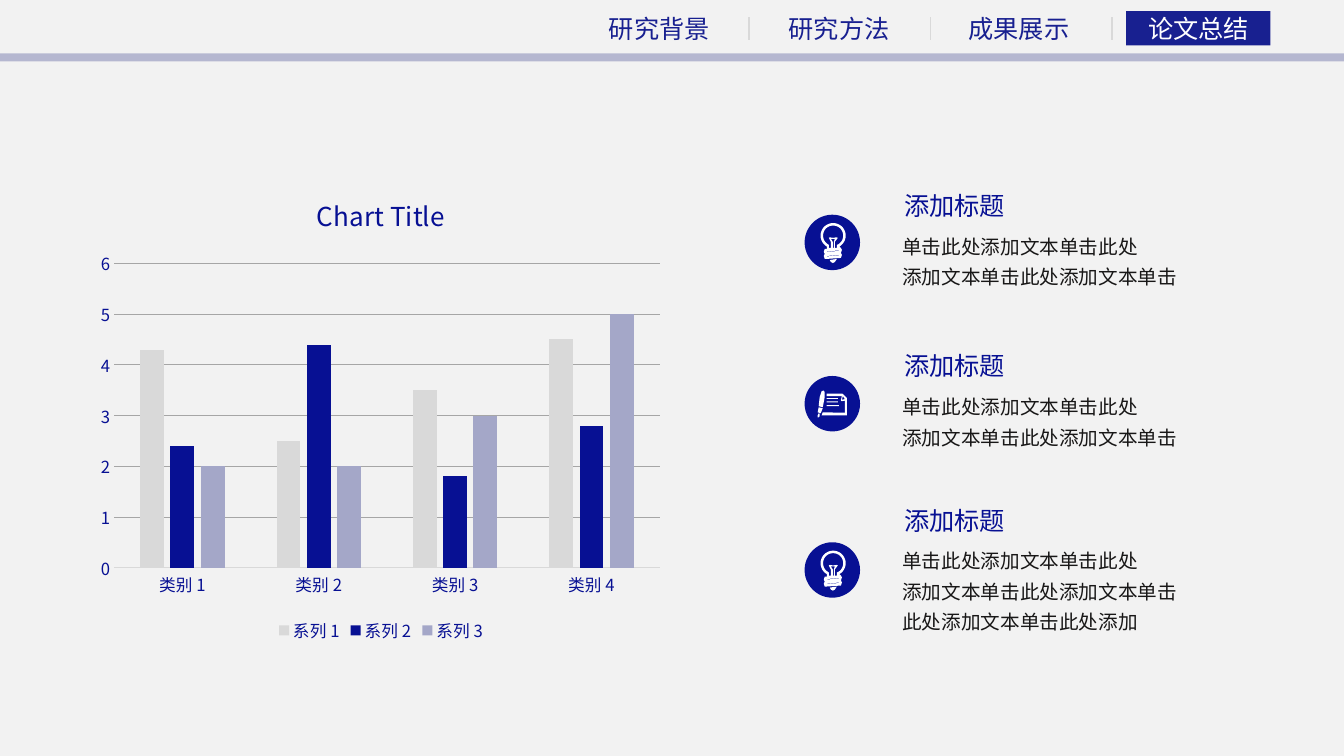
from math import cos, radians, sin

from pptx import Presentation
from pptx.chart.data import CategoryChartData
from pptx.dml.color import RGBColor
from pptx.enum.chart import XL_CHART_TYPE, XL_LEGEND_POSITION, XL_TICK_MARK
from pptx.enum.shapes import MSO_CONNECTOR, MSO_SHAPE
from pptx.enum.text import PP_ALIGN
from pptx.oxml import parse_xml
from pptx.oxml.ns import nsdecls, qn
from pptx.oxml.xmlchemy import OxmlElement
from pptx.util import Inches, Pt

FONT = "Noto Sans CJK SC"
NAVY, NAV_BLUE, WHITE, PALE = "071093", "182090", "FFFFFF", "D9D9D9"


def color(value):
    """Return the colour of a hex string."""
    return RGBColor.from_string(value)


def set_font(font, size, shade):
    """Give a font its face, size and colour."""
    font.name = FONT
    font.size = Pt(size)
    font.color.rgb = color(shade)


def set_east_asian(root):
    """Use the Latin face for Chinese characters too."""
    for latin in list(root.iter(qn("a:latin"))):
        face = OxmlElement("a:ea")
        face.set("typeface", FONT)
        latin.addnext(face)


def fill_plain(shape, shade):
    """Fill a shape without outline or shadow."""
    shape.shadow.inherit = False
    shape.fill.solid()
    shape.fill.fore_color.rgb = color(shade)
    shape.line.fill.background()


def add_block(page, kind, box, shade):
    """Add a plain preset shape in a box given in inches."""
    shape = page.shapes.add_shape(kind, *map(Inches, box))
    fill_plain(shape, shade)
    return shape


def add_text(page, box, lines, size, shade, align=PP_ALIGN.LEFT, spacing=None):
    """Add a wrapped text box with one paragraph per line."""
    frame = page.shapes.add_textbox(*map(Inches, box)).text_frame
    frame.word_wrap = True
    for index, line in enumerate(lines):
        para = frame.add_paragraph() if index else frame.paragraphs[0]
        para.alignment = align
        para.line_spacing = spacing
        span = para.add_run()
        span.text = line
        set_font(span.font, size, shade)


def add_navigation(page, left, top, labels):
    """Draw the header band, tabs and separators; the last tab is active."""
    band = add_block(page, MSO_SHAPE.RECTANGLE, (-0.32, top + 0.45, 13.79, 0.08), "141B76")
    alpha = OxmlElement("a:alpha")
    alpha.set("val", "27000")
    band.fill._xPr.find(qn("a:solidFill"))[0].append(alpha)
    add_block(page, MSO_SHAPE.RECTANGLE, (left + 5.25, top + 0.03, 1.43, 0.34), NAV_BLUE)
    for index, label in enumerate(labels):
        active = index == len(labels) - 1
        add_text(page, (left + 1.783 * index, top, 1.24, 0.4), [label], 18,
                 WHITE if active else NAV_BLUE, PP_ALIGN.CENTER)
        if not active:
            x = Inches(left + 1.51 + 1.8 * index)
            line = page.shapes.add_connector(
                MSO_CONNECTOR.STRAIGHT, x, Inches(top + 0.09), x, Inches(top + 0.32))
            line.line.color.rgb = color(PALE)
            line.line.width = Pt(1)
            line._element.spPr.append(OxmlElement("a:effectLst"))


def add_column_chart(page, box):
    """Draw the clustered column chart."""
    data = CategoryChartData()
    data.categories = [f"类别 {number}" for number in range(1, 5)]
    columns = [((4.3, 2.5, 3.5, 4.5), PALE), ((2.4, 4.4, 1.8, 2.8), NAVY),
               ((2, 2, 3, 5), "A4A7C8")]
    for number, (values, _) in enumerate(columns, 1):
        data.add_series(f"系列 {number}", values)
    chart = page.shapes.add_chart(
        XL_CHART_TYPE.COLUMN_CLUSTERED, *map(Inches, box), data).chart
    set_font(chart.font, 11.9, NAVY)
    chart.has_title = True
    span = chart.chart_title.text_frame.paragraphs[0].add_run()
    span.text = "Chart Title"
    set_font(span.font, 18.6, NAVY)
    span.font.bold = False
    chart.has_legend = True
    chart.legend.position = XL_LEGEND_POSITION.BOTTOM
    chart.legend.include_in_layout = False
    set_font(chart.legend.font, 11.9, NAVY)
    plot = chart.plots[0]
    plot.vary_by_categories = False
    plot.gap_width, plot.overlap = 219, -27
    for series, (_, shade) in zip(plot.series, columns):
        series.format.fill.solid()
        series.format.fill.fore_color.rgb = color(shade)
    for axis in (chart.category_axis, chart.value_axis):
        axis.major_tick_mark = axis.minor_tick_mark = XL_TICK_MARK.NONE
        set_font(axis.tick_labels.font, 11.9, NAVY)
    base, scale = chart.category_axis.format.line, chart.value_axis
    base.color.rgb, base.width = color(PALE), Pt(0.75)
    scale.format.line.fill.background()
    scale.minimum_scale, scale.maximum_scale, scale.major_unit = 0, 6, 1
    scale.has_major_gridlines = True
    grid = scale.major_gridlines.format.line
    grid.color.rgb, grid.width = color("A6A6A6"), Pt(0.75)
    place_plot(chart, {"x": 0.042, "y": 0.19, "w": 0.936, "h": 0.643})
    set_east_asian(chart.element)


def place_plot(chart, parts):
    """Fix the inner plot area as fractions of the chart."""
    area = next(chart.element.iter(qn("c:plotArea")))
    for old in area.findall(qn("c:layout")):
        area.remove(old)
    modes = "".join(f'<c:{key}Mode val="edge"/>' for key in "xy")
    sizes = "".join(f'<c:{key} val="{value}"/>' for key, value in parts.items())
    area.insert(0, parse_xml(
        f'<c:layout {nsdecls("c")}><c:manualLayout><c:layoutTarget val="inner"/>'
        f'{modes}{sizes}</c:manualLayout></c:layout>'))


def arc(radius):
    """Return the glass of the bulb, open at the bottom, in hundredths."""
    angles = [radians(60 - 10 * step) for step in range(31)]
    return [(28.3 + radius * cos(a), 20.8 + radius * sin(a)) for a in angles]


def bulb_outlines():
    """Return the contours of the light bulb in hundredths of an inch."""
    screw = [(22, 34), (20, 34), (19, 37), (20, 39), (19, 41), (20, 44), (21, 44),
             (35, 43), (36, 43), (37, 40), (36, 38), (37, 35), (36, 33), (35, 32)]
    wire = [(24, 30), (24, 33), (26, 33), (26, 27), (24, 23), (25, 22.5), (28.3, 23),
            (31.5, 22.5), (33, 23), (30, 27), (30, 33), (32, 33), (32, 30)]
    return [arc(12.5) + screw, arc(10) + wire,
            [(30, 24), (26, 24), (28, 27), (28, 33), (29, 33), (29, 27)],
            [(32, 44), (25, 45), (26, 47), (28, 48), (30, 47)],
            *[[(34, y), (22, y + 1), (22, y + 1.5), (34, y + 0.5)] for y in (35.5, 40)]]


def note_outlines():
    """Return the contours of the pen and sheet in hundredths of an inch."""
    sheet = [(18, 36), (17, 39), (42, 39), (42, 23), (42, 22), (38, 18), (37.5, 17.5),
             (22, 17.5), (22, 20), (37, 20), (36, 24), (36.5, 25), (40, 24.5), (40, 36.5)]
    return [[(17, 15), (19, 14.5), (20, 16), (20, 21), (18, 31), (14, 30), (15, 21)], sheet,
            [(40, 23), (37, 23.5), (38, 20)],
            *[[(22, y), (right, y), (right, y + 0.8), (22, y + 0.8)]
              for y, right in ((22, 33), (25.3, 33), (29, 34))],
            [(14, 37), (15, 37.5), (15, 40), (14, 41), (13, 41), (13, 39)],
            [(14, 31), (18, 32), (16, 37), (13, 36)]]


def add_icon(page, left, top, outlines):
    """Draw a white pictogram on a navy disc."""
    add_block(page, MSO_SHAPE.OVAL, (left, top, 0.55, 0.55), NAVY)
    builder = None
    for outline in outlines:
        points = [(x * 10, y * 10) for x, y in outline]
        if builder:
            builder.move_to(*points[0])
        else:
            builder = page.shapes.build_freeform(*points[0], scale=Inches(1) / 1000)
        builder.add_line_segments(points[1:], close=True)
    fill_plain(builder.convert_to_shape(Inches(left), Inches(top)), WHITE)


def add_entry(page, left, top, icon_top, outlines, lines):
    """Draw one icon with its heading and text."""
    add_icon(page, left, icon_top, outlines)
    add_text(page, (left + 0.87, top + 0.37, 3.02, 0.37 + 0.31 * len(lines)),
             lines, 14, "181717", spacing=1.3)
    add_text(page, (left + 0.89, top, 2.56, 0.4), ["添加标题"], 18, NAVY)


def main():
    """Build the slide and save it."""
    deck = Presentation()
    deck.slide_width, deck.slide_height = Inches(13.33), Inches(7.5)
    page = deck.slides.add_slide(deck.slide_layouts[6])
    page.background.fill.solid()
    page.background.fill.fore_color.rgb = color("F2F2F2")
    add_navigation(page, 5.92, 0.08, ["研究背景", "研究方法", "成果展示", "论文总结"])
    add_column_chart(page, (0.89, 1.72, 5.78, 4.7))
    first, second = "单击此处添加文本单击此处", "添加文本单击此处添加文本单击"
    entries = [(1.84, 2.13, bulb_outlines(), second), (3.43, 3.73, note_outlines(), second),
               (4.96, 5.38, bulb_outlines(), second + "此处添加文本单击此处添加")]
    for top, icon_top, outlines, ending in entries:
        add_entry(page, 7.98, top, icon_top, outlines, [first, ending])
    set_east_asian(page.shapes.element)
    deck.save("out.pptx")


if __name__ == "__main__":
    main()
